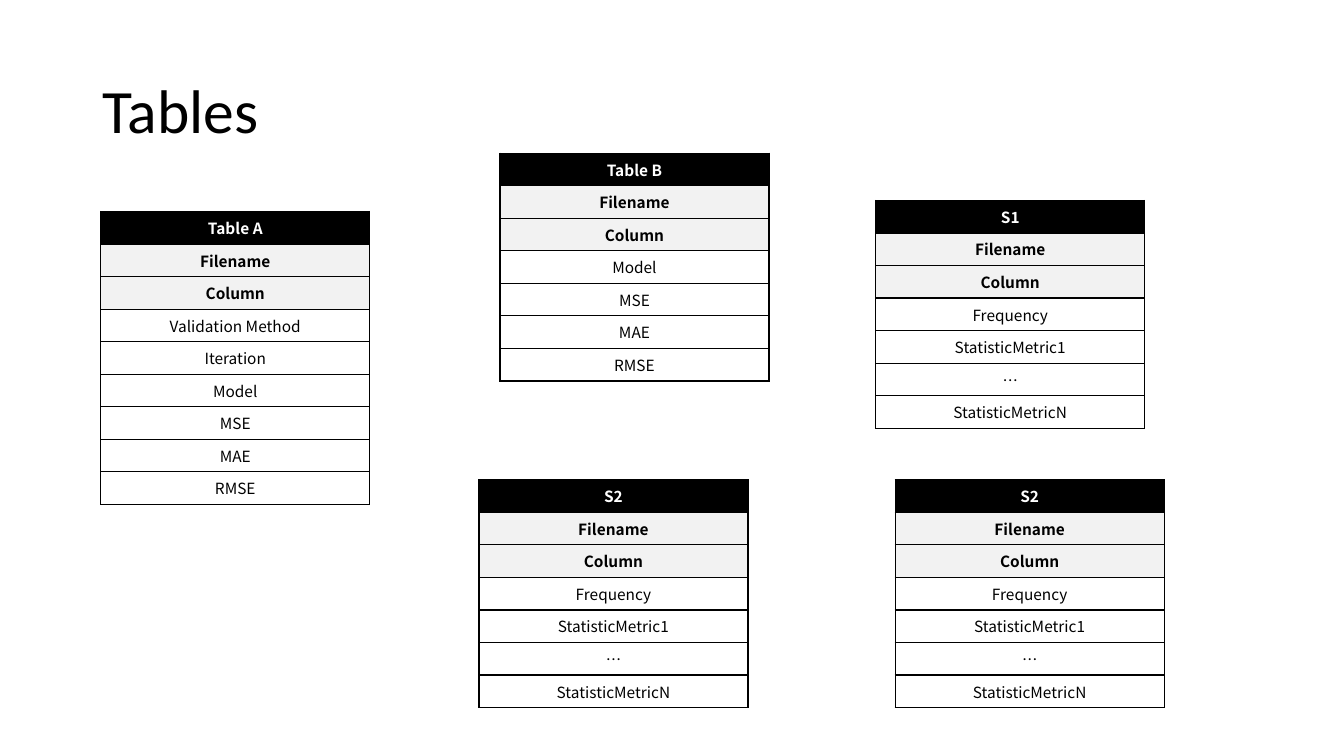
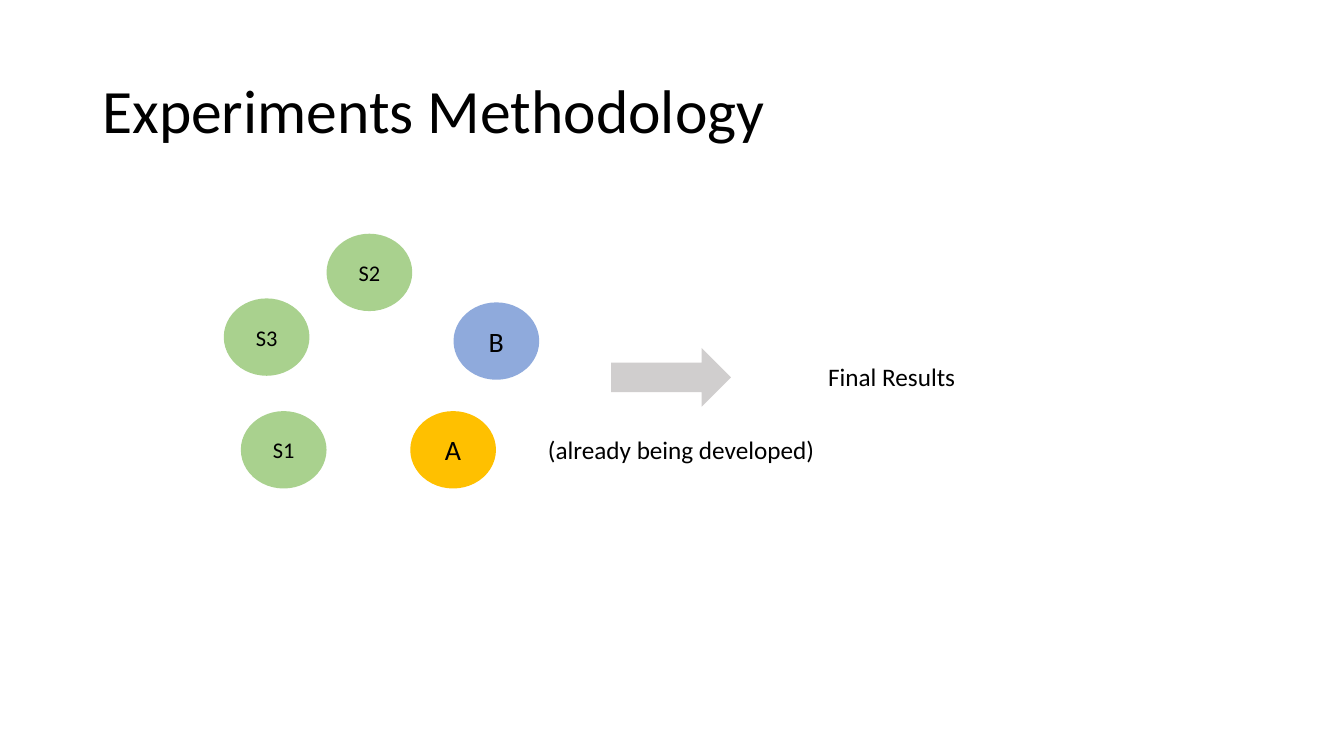
"""Build two slides: the result tables and the experiments methodology."""
from pptx import Presentation, oxml
from pptx import util as u
from pptx.dml.color import RGBColor
from pptx.enum import shapes, text
from pptx.oxml import ns

BLACK = RGBColor(0x00, 0x00, 0x00)
WHITE = RGBColor(0xFF, 0xFF, 0xFF)
LIGHT_GRAY = RGBColor(0xF2, 0xF2, 0xF2)
ARROW_GRAY = RGBColor(0xD0, 0xCE, 0xCE)
BLUE = RGBColor(0x8F, 0xAA, 0xDC)
GOLD = RGBColor(0xFF, 0xC0, 0x00)
GREEN = RGBColor(0xA9, 0xD1, 0x8E)
BODY_FONT = "Calibri"
TABLE_FONT = "Noto Sans CJK TC"
TABLE_WIDTH, ROW_HEIGHT = 6.78, 0.82
CIRCLE_WIDTH, CIRCLE_HEIGHT = 2.16, 1.95


def add_run(paragraph, words, size, color=BLACK, name=BODY_FONT, bold=False):
    run = paragraph.add_run()
    run.text = words
    run.font.size = u.Pt(size)
    run.font.name = name
    run.font.bold = bold
    run.font.color.rgb = color
    return run


def add_label(slide, words, size, left, top, width, height, wrap=False):
    box = slide.shapes.add_textbox(u.Cm(left), u.Cm(top), u.Cm(width), u.Cm(height))
    box.text_frame.word_wrap = wrap
    paragraph = box.text_frame.paragraphs[0]
    add_run(paragraph, words, size)
    return box


presentation = Presentation()
presentation.slide_width = u.Cm(33.87)
presentation.slide_height = u.Cm(19.05)

slides = []
for title in ("Tables", "Experiments Methodology"):
    slide = presentation.slides.add_slide(presentation.slide_layouts[6])
    title_box = add_label(slide, title, 44, 2.33, 1.01, 29.21, 3.68, wrap=True)
    title_box.text_frame.vertical_anchor = text.MSO_ANCHOR.MIDDLE
    title_box.text_frame.paragraphs[0].line_spacing = 0.9
    slides.append(slide)
tables_slide, methodology_slide = slides

KEYS = ["Filename", "Column"]
ERRORS = ["Model", "MSE", "MAE", "RMSE"]
STATISTICS = ["Frequency", "StatisticMetric1", "…", "StatisticMetricN"]
tables = [
    ("Table A", ["Validation Method", "Iteration"] + ERRORS, 2.54, 5.33),
    ("Table B", ERRORS, 12.6, 3.86),
    ("S1", STATISTICS, 22.07, 5.05),
    ("S2", STATISTICS, 12.07, 12.09),
    ("S2", STATISTICS, 22.56, 12.09),
]
for heading, fields, left, top in tables:
    rows = [heading] + KEYS + fields
    frame = tables_slide.shapes.add_table(
        len(rows), 1, u.Cm(left), u.Cm(top), u.Cm(TABLE_WIDTH), u.Cm(ROW_HEIGHT * len(rows)))
    table = frame.table
    table.first_row = table.horz_banding = False
    for index, words in enumerate(rows):
        table.rows[index].height = u.Cm(ROW_HEIGHT)
        cell = table.cell(index, 0)
        properties = cell._tc.get_or_add_tcPr()
        for side in ("lnL", "lnR", "lnT", "lnB"):
            properties.append(oxml.parse_xml(
                f'<a:{side} {ns.nsdecls("a")} w="12700"><a:solidFill>'
                f'<a:srgbClr val="{BLACK}"/></a:solidFill></a:{side}>'))
        is_heading, is_bold = index == 0, index <= len(KEYS)
        cell.fill.solid()
        cell.fill.fore_color.rgb = BLACK if is_heading else LIGHT_GRAY if is_bold else WHITE
        paragraph = cell.text_frame.paragraphs[0]
        paragraph.alignment = text.PP_ALIGN.CENTER
        run = add_run(paragraph, words, 11, WHITE if is_heading else BLACK, TABLE_FONT, is_bold)
        run.font._element.append(oxml.parse_xml(
            f'<a:ea {ns.nsdecls("a")} typeface="{TABLE_FONT}"/>'))

circles = [
    ("B", 20, BLUE, 11.43, 7.62),
    ("A", 20, GOLD, 10.34, 10.36),
    ("S1", 16, GREEN, 6.07, 10.36),
    ("S2", 16, GREEN, 8.23, 5.89),
    ("S3", 16, GREEN, 5.64, 7.52),
]
for words, size, color, left, top in circles:
    circle = methodology_slide.shapes.add_shape(
        shapes.MSO_SHAPE.OVAL, u.Cm(left), u.Cm(top), u.Cm(CIRCLE_WIDTH), u.Cm(CIRCLE_HEIGHT))
    circle.shadow.inherit = False
    circle.fill.solid()
    circle.fill.fore_color.rgb = color
    circle.line.fill.background()
    circle.text_frame.vertical_anchor = text.MSO_ANCHOR.MIDDLE
    paragraph = circle.text_frame.paragraphs[0]
    paragraph.alignment = text.PP_ALIGN.CENTER
    add_run(paragraph, words, size)

arrow = methodology_slide.shapes.add_shape(
    shapes.MSO_SHAPE.RIGHT_ARROW, u.Cm(15.4), u.Cm(8.77), u.Cm(3.02), u.Cm(1.48))
arrow.shadow.inherit = False
arrow.fill.solid()
arrow.fill.fore_color.rgb = ARROW_GRAY
arrow.line.fill.background()

add_label(methodology_slide, "Final Results", 18, 20.62, 8.97, 3.76, 1.03)
add_label(methodology_slide, "(already being developed)", 18, 13.56, 10.82, 7.32, 1.03)

presentation.save("out.pptx")
